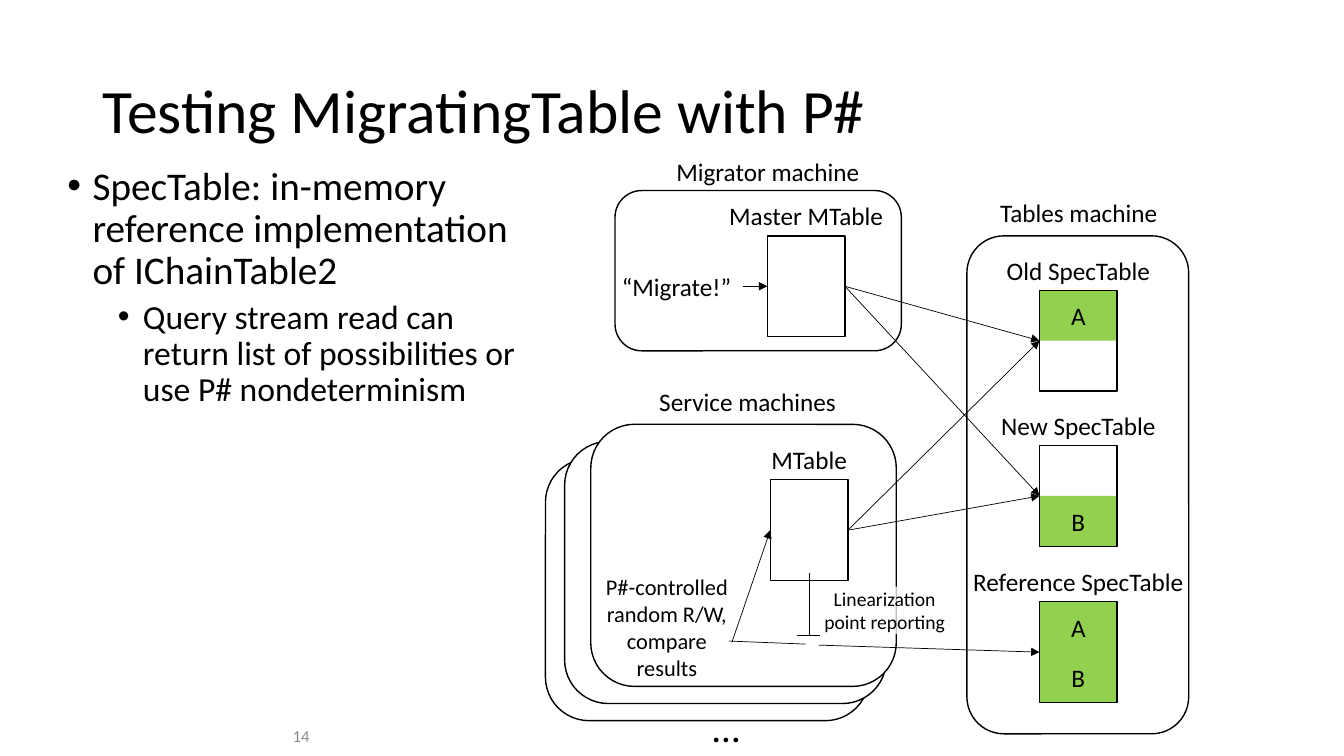
from dataclasses import dataclass

from lxml import etree
from pptx import Presentation
from pptx import util as u
from pptx.dml.color import RGBColor
from pptx.enum import shapes, text
from pptx.oxml.ns import qn

COLORS = {"ink": "000000", "paper": "FFFFFF", "green": "92D050", "gray": "8C8C8C"}
FONT = "Calibri"
STEPS_PER_INCH = 10  # columns and rows of the layout grid
TABLE_WIDTH, TABLE_HEIGHT = 7.7, 10
LABEL_WIDTH, LABEL_HEIGHT = 23.1, 4
TOP, LEFT, BOTTOM, RIGHT = range(4)
CENTER = text.PP_ALIGN.CENTER
MIDDLE = text.MSO_ANCHOR.MIDDLE
RECTANGLE = shapes.MSO_SHAPE.RECTANGLE
ROUNDED = shapes.MSO_SHAPE.ROUNDED_RECTANGLE


@dataclass(frozen=True)
class Area:
    """Left column, top row, width and height in grid steps."""
    left: float
    top: float
    width: float
    height: float

    def lengths(self) -> list:
        return [grid(n) for n in (self.left, self.top, self.width, self.height)]


@dataclass(frozen=True)
class Table:
    label: str
    left: float
    top: float
    upper: str = ""
    lower: str = ""


@dataclass(frozen=True)
class Caption:
    words: str
    area: Area
    size: int = 18


@dataclass(frozen=True)
class Bullet:
    words: str
    size: int
    indent: float
    space_before: int


SERVICE_STACK = [Area(54.1, 45.5, 32.1, 26), Area(56, 43.8, 31.9, 26),
                 Area(58.6, 42.1, 30.3, 26)]
TABLES_MACHINE = Area(95.9, 23.4, 22, 49.4)
MIGRATOR_MACHINE = Area(61, 18.9, 28.4, 15.9)

SPEC_TABLES = [
    Table("Old SpecTable", 103.1, 28.8, upper="A"),
    Table("New SpecTable", 103.1, 44.2, lower="B"),
    Table("Reference SpecTable", 103.1, 59.7, upper="A", lower="B"),
]
SERVICE_TABLE = Table("MTable", 76.4, 47.6)
MASTER_TABLE = Table("Master MTable", 76.1, 23.4)

CAPTIONS = [
    Caption("Migrator machine", Area(66.1, 15, 20.4, 4)),
    Caption("Service machines", Area(64.4, 37.8, 19.7, 4)),
    Caption("Tables machine", Area(98.2, 19.1, 17.8, 4)),
    Caption("…", Area(69.7, 69.3, 4.7, 5.7), 28),
]
BULLETS = [
    Bullet("SpecTable: in-memory reference implementation of IChainTable2", 28, 2.5, 10),
    Bullet("Query stream read can return list of possibilities "
           "or use P# nondeterminism", 24, 7.5, 5),
]


def grid(steps: float) -> u.Length:
    return u.Inches(steps / STEPS_PER_INCH)


def color(name: str) -> RGBColor:
    return RGBColor.from_string(COLORS[name])


def write(para, words: str, *, size: float = 18, ink: str = "ink",
          align=None, spacing=None) -> None:
    span = para.add_run()
    span.text = words
    span.font.name = FONT
    span.font.size = u.Pt(size)
    span.font.color.rgb = color(ink)
    para.alignment = align
    para.line_spacing = spacing


def add_box(page, area: Area, kind=RECTANGLE, fill=None, outlined: bool = True):
    box = page.shapes.add_shape(kind, *area.lengths())
    box.shadow.inherit = False
    if fill:
        box.fill.solid()
        box.fill.fore_color.rgb = color(fill)
    else:
        box.fill.background()
    if outlined:
        box.line.color.rgb = color("ink")
        box.line.width = u.Pt(1)
    else:
        box.line.fill.background()
    return box


def add_text(page, area: Area, words: str, *, wrap: bool = False,
             anchor=text.MSO_ANCHOR.TOP, **style):
    box = page.shapes.add_textbox(*area.lengths())
    box.text_frame.word_wrap = wrap
    box.text_frame.vertical_anchor = anchor
    write(box.text_frame.paragraphs[0], words, **style)
    return box


def add_table_box(page, table: Table):
    """Draw the filled halves, the outline and the label above it."""
    half = TABLE_HEIGHT / 2
    for index, words in enumerate((table.upper, table.lower)):
        if words:
            area = Area(table.left, table.top + index * half, TABLE_WIDTH, half)
            cell = add_box(page, area, fill="green", outlined=False)
            cell.text_frame.vertical_anchor = MIDDLE
            write(cell.text_frame.paragraphs[0], words, align=CENTER)
    outline = add_box(page, Area(table.left, table.top, TABLE_WIDTH, TABLE_HEIGHT))
    label_left = table.left + (TABLE_WIDTH - LABEL_WIDTH) / 2
    add_text(page, Area(label_left, table.top - LABEL_HEIGHT, LABEL_WIDTH, LABEL_HEIGHT),
             table.label, align=CENTER)
    return outline


def add_line(page, start=(0, 0), end=(0, 0), *, source=None, target=None,
             arrow: bool = True) -> None:
    """Run from a point or a source's right side to a point or a target's left side."""
    line = page.shapes.add_connector(shapes.MSO_CONNECTOR.STRAIGHT,
                                     *[grid(n) for n in (*start, *end)])
    if source is not None:
        line.begin_connect(source, RIGHT)
    if target is not None:
        line.end_connect(target, LEFT)
    line.line.color.rgb = color("ink")
    line.line.width = u.Pt(0.5)
    properties = line.element.spPr
    if arrow:
        etree.SubElement(properties.find(qn("a:ln")), qn("a:tailEnd"), type="triangle")
    etree.SubElement(properties, qn("a:effectLst"))


def add_bullets(page, area: Area) -> None:
    box = page.shapes.add_textbox(*area.lengths())
    frame = box.text_frame
    frame.word_wrap = True
    for index, bullet in enumerate(BULLETS):
        para = frame.add_paragraph() if index else frame.paragraphs[0]
        para.level = index
        write(para, bullet.words, size=bullet.size, spacing=0.9)
        para.space_before = u.Pt(bullet.space_before)
        properties = para._p.get_or_add_pPr()
        properties.set("marL", str(grid(bullet.indent)))
        properties.set("indent", str(grid(-2.5)))
        etree.SubElement(properties, qn("a:buFont"), typeface="Arial")
        etree.SubElement(properties, qn("a:buChar"), char="•")


def add_linearization_note(page) -> None:
    note = add_box(page, Area(81.6, 58.2, 12.3, 4.7), fill="paper", outlined=False)
    fill_color = note.element.spPr.find(qn("a:solidFill"))[0]
    etree.SubElement(fill_color, qn("a:alpha"), val="75000")
    frame = note.text_frame
    frame.word_wrap = True
    frame.margin_left = frame.margin_top = frame.margin_right = frame.margin_bottom = 0
    write(frame.paragraphs[0], "Linearization point reporting", size=14, align=CENTER)


def main() -> None:
    deck = Presentation()
    deck.slide_width, deck.slide_height = u.Inches(13.33), u.Inches(7.5)
    page = deck.slides.add_slide(deck.slide_layouts[6])

    add_text(page, Area(9.2, 4, 115, 14.5), "Testing MigratingTable with P#",
             size=44, wrap=True, anchor=MIDDLE, spacing=0.9)
    add_bullets(page, Area(5.7, 16, 46.4, 53.7))
    add_text(page, Area(1.7, 71, 30, 4), "14", size=12, ink="gray", wrap=True,
             anchor=MIDDLE, align=text.PP_ALIGN.RIGHT)

    for area in SERVICE_STACK:
        add_box(page, area, ROUNDED, fill="paper")
    add_box(page, TABLES_MACHINE, ROUNDED)
    add_box(page, MIGRATOR_MACHINE, ROUNDED, fill="paper")
    for caption in CAPTIONS:
        add_text(page, caption.area, caption.words, size=caption.size)

    old, new, reference = [add_table_box(page, table) for table in SPEC_TABLES]
    service = add_table_box(page, SERVICE_TABLE)
    master = add_table_box(page, MASTER_TABLE)
    for source in (service, master):
        for target in (old, new):
            add_line(page, source=source, target=target)

    command = add_text(page, Area(60.7, 26.4, 13, 4), "“Migrate!”")
    add_line(page, source=command, target=master)

    add_text(page, Area(59, 56.4, 14.3, 11.8), "P#-controlled random R/W, compare results",
             size=16, wrap=True, align=CENTER)
    add_line(page, (72.6, 63.7), target=service)
    add_line(page, (72.3, 63.6), (79.9, 63.9), arrow=False)
    add_line(page, (81.2, 64), target=reference)
    add_line(page, (79, 63), (81.3, 63), arrow=False)
    add_line(page, (80.3, 63), (80.3, 56.8), arrow=False)
    add_linearization_note(page)

    deck.save("out.pptx")


if __name__ == "__main__":
    main()
